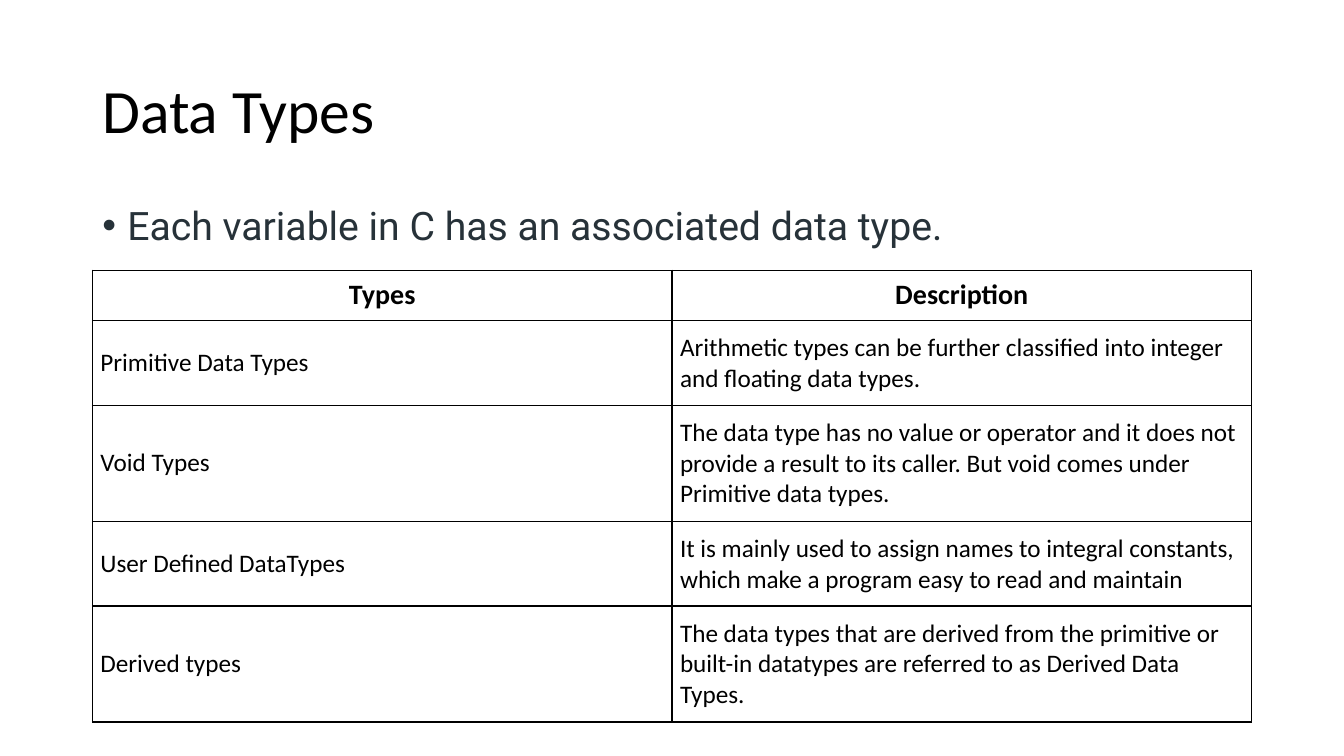
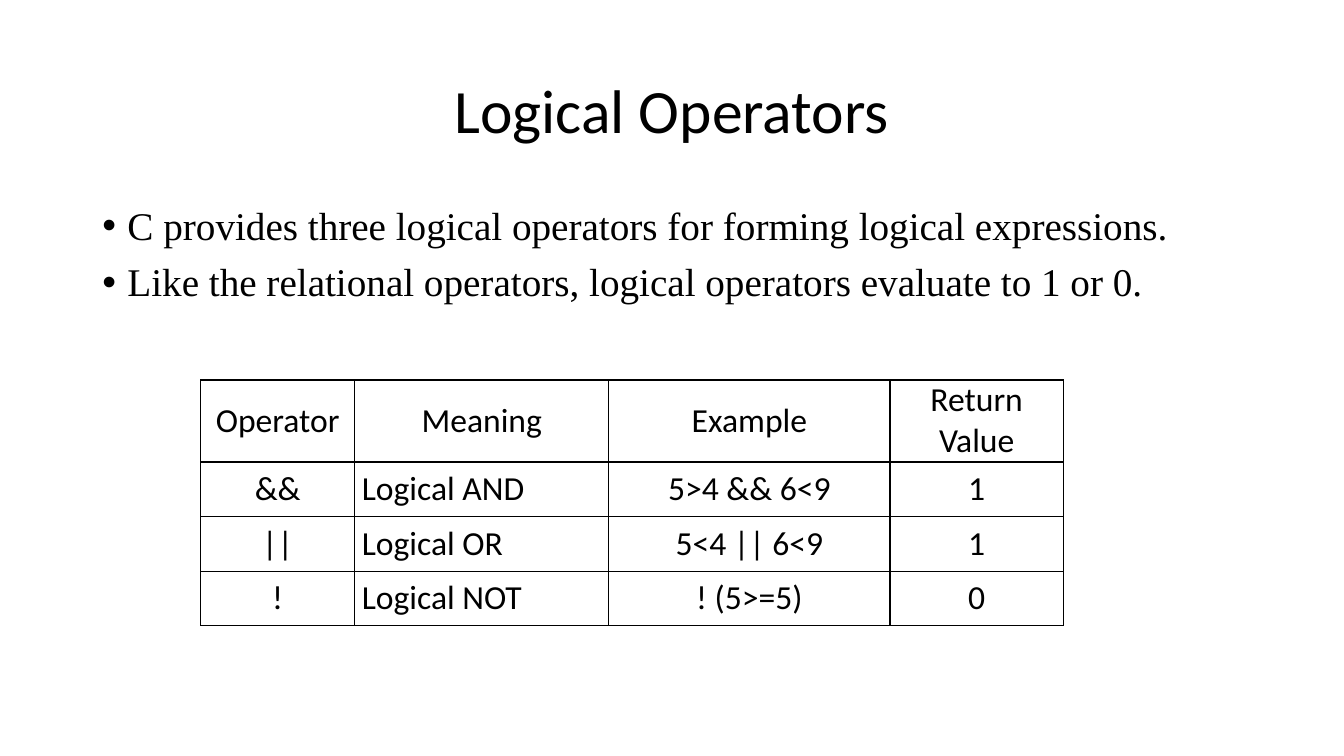
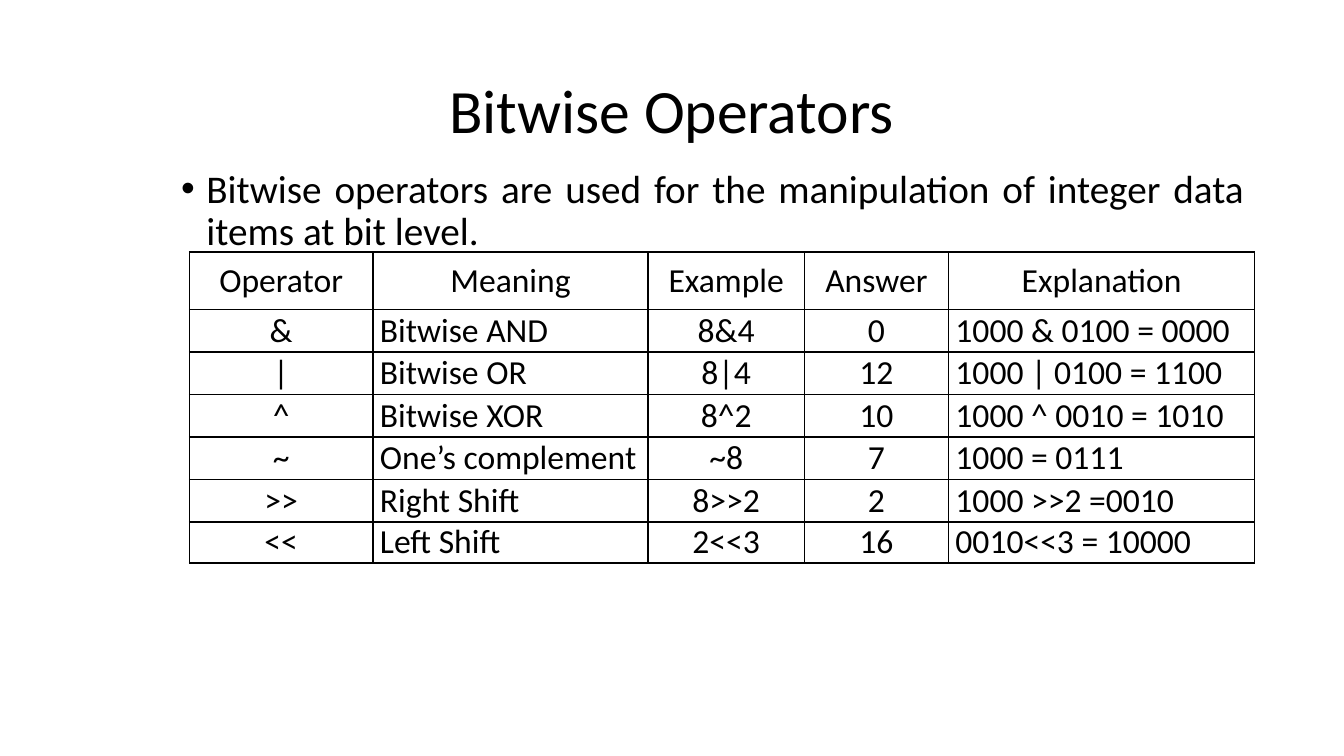
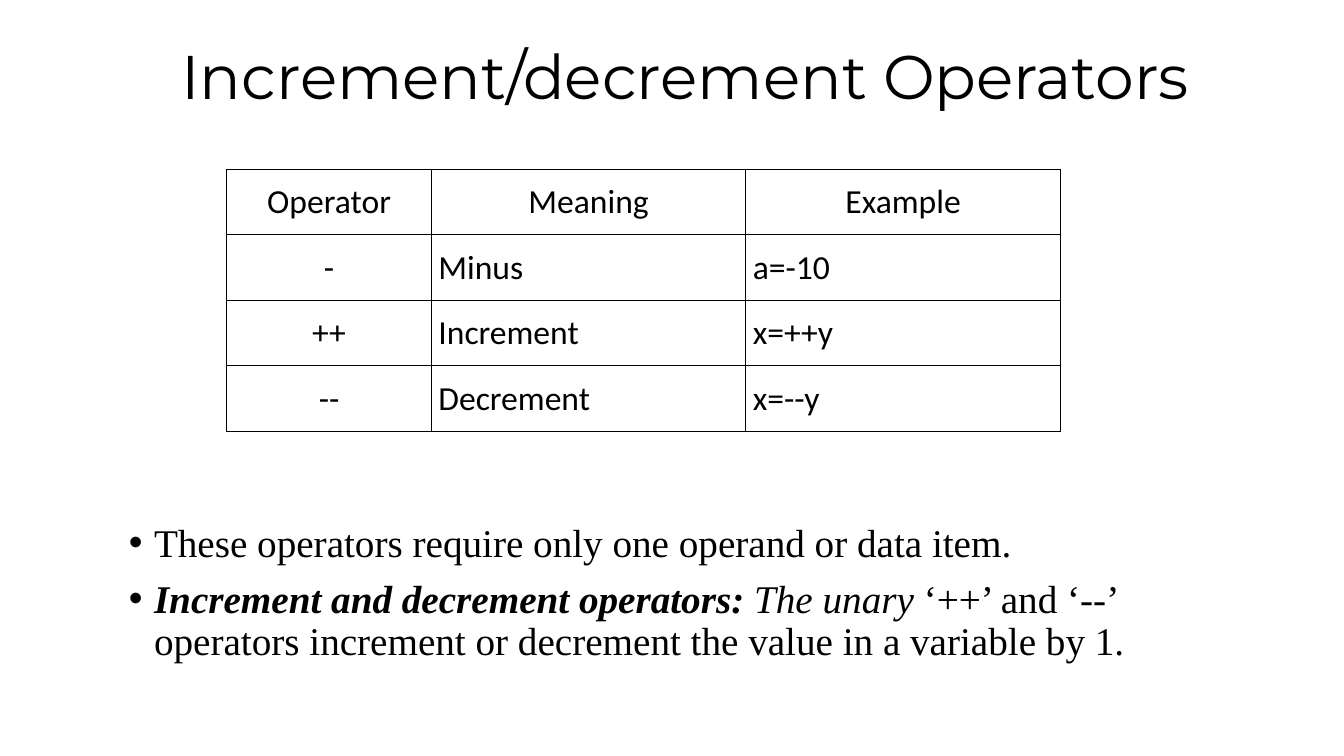
from lxml import etree
from pptx import Presentation
from pptx.dml.color import RGBColor
from pptx.enum.text import MSO_ANCHOR, PP_ALIGN
from pptx.oxml.ns import qn
from pptx.util import Inches, Pt

GRID_COLUMNS, GRID_ROWS = 160, 90
UNIT = Inches(1) / 12
MARGIN, CONTENT_WIDTH = 11, 138
COLORS = {"black": "000000", "white": "FFFFFF", "slate": "273239"}
SANS, SERIF, ROBOTO, DISPLAY = "Calibri", "Times New Roman", "Roboto", "Montserrat"
TITLE_SIZE, BODY_SIZE = 44, 28
LINE_SPACING = 0.9
BULLET_INDENT = Inches(0.25)
BORDER_WIDTH = Pt(1)
LEFT, CENTER, JUSTIFY = PP_ALIGN.LEFT, PP_ALIGN.CENTER, PP_ALIGN.JUSTIFY
ALIGNMENTS = {"l": LEFT, "c": CENTER}
MIDDLE, TOP = MSO_ANCHOR.MIDDLE, MSO_ANCHOR.TOP


def grid(units):
    """Turn grid units into a slide length."""
    return round(units * UNIT)


def add_span(para, text, size, font=SANS, color="black", bold=False, italic=False):
    """Add one styled run to a paragraph."""
    span = para.add_run()
    span.text = text
    span.font.size = Pt(size)
    span.font.name = font
    span.font.bold = bold
    span.font.italic = italic
    span.font.color.rgb = RGBColor.from_string(COLORS[color])


def add_box(page, area, anchor):
    """Add a wrapping text box and return its text frame."""
    frame = page.shapes.add_textbox(*map(grid, area)).text_frame
    frame.word_wrap = True
    frame.vertical_anchor = anchor
    return frame


def add_title(page, text, area=(MARGIN, 4.8, CONTENT_WIDTH, 17.4), align=CENTER, font=SANS):
    """Add the slide title."""
    para = add_box(page, area, MIDDLE).paragraphs[0]
    para.alignment = align
    para.line_spacing = LINE_SPACING
    add_span(para, text, TITLE_SIZE, font)


def set_bullet(para):
    """Give a paragraph a hanging round bullet."""
    properties = para._p.get_or_add_pPr()
    properties.set("marL", str(BULLET_INDENT))
    properties.set("indent", str(-BULLET_INDENT))
    etree.SubElement(properties, qn("a:buFont")).set("typeface", "Arial")
    etree.SubElement(properties, qn("a:buChar")).set("char", "•")


def add_bullets(page, area, items, align=LEFT, font=SANS, color="black"):
    """Add bullets, each a list of (text, bold, italic) parts."""
    frame = add_box(page, area, TOP)
    for index, parts in enumerate(items):
        para = frame.add_paragraph() if index else frame.paragraphs[0]
        para.alignment = align
        para.line_spacing = LINE_SPACING
        para.space_before = Pt(10)
        set_bullet(para)
        for text, bold, italic in parts:
            add_span(para, text, BODY_SIZE, font, color, bold, italic)


def set_borders(cell):
    """Draw a thin black line on every side of a cell."""
    properties = cell._tc.get_or_add_tcPr()
    for index, side in enumerate(("a:lnL", "a:lnR", "a:lnT", "a:lnB")):
        line = etree.Element(qn(side), w=str(BORDER_WIDTH))
        fill = etree.SubElement(line, qn("a:solidFill"))
        etree.SubElement(fill, qn("a:srgbClr")).set("val", COLORS["black"])
        properties.insert(index, line)


def style_cell(cell, inset, fill):
    """Set the anchor, margins, fill and borders of a cell."""
    cell.vertical_anchor = MIDDLE
    cell.margin_left = cell.margin_right = Inches(inset[0])
    cell.margin_top = cell.margin_bottom = Inches(inset[1])
    if fill:
        cell.fill.solid()
        cell.fill.fore_color.rgb = RGBColor.from_string(COLORS[fill])
    else:
        cell.fill.background()
    set_borders(cell)


def add_grid_table(page, corner, widths, heights, aligns, rows, size=24,
                   header_size=24, header_bold=False, inset=(0.07, 0),
                   header_inset=(0.07, 0), fill=None):
    """Add a bordered table with a centred header row."""
    area = (*corner, sum(widths), sum(heights))
    table = page.shapes.add_table(len(rows), len(widths), *map(grid, area)).table
    table.first_row = table.horz_banding = False
    for column, width in zip(table.columns, widths):
        column.width = grid(width)
    for row, height in zip(table.rows, heights):
        row.height = grid(height)
    for row_index, texts in enumerate(rows):
        header = row_index == 0
        for column_index, text in enumerate(texts):
            cell = table.cell(row_index, column_index)
            style_cell(cell, header_inset if header else inset, fill)
            para = cell.text_frame.paragraphs[0]
            para.alignment = CENTER if header else ALIGNMENTS[aligns[column_index]]
            add_span(para, text, header_size if header else size,
                     bold=header and header_bold)


def build_data_types(page):
    """Build the data types slide."""
    add_title(page, "Data Types", align=LEFT)
    add_bullets(page, (MARGIN, 24, CONTENT_WIDTH, 57.12),
                [[("Each variable in C has an associated data type.", False, False)]],
                font=ROBOTO, color="slate")
    rows = [
        ("Types", "Description"),
        ("Primitive Data Types",
         "Arithmetic types can be further classified into integer and floating data types."),
        ("Void Types",
         "The data type has no value or operator and it does not provide a result to its "
         "caller. But void comes under Primitive data types."),
        ("User Defined DataTypes",
         "It is mainly used to assign names to integral constants, which make a program "
         "easy to read and maintain"),
        ("Derived types",
         "The data types that are derived from the primitive or built-in datatypes are "
         "referred to as Derived Data Types."),
    ]
    add_grid_table(page, (MARGIN, 32.16), [CONTENT_WIDTH / 2] * 2,
                   [6, 10.1, 13.8, 10.1, 13.8], "ll", rows, size=18, header_size=20,
                   header_bold=True, inset=(0.08, 0.12), header_inset=(0.08, 0.08),
                   fill="white")


def build_logical_operators(page):
    """Build the logical operators slide."""
    add_title(page, "Logical Operators")
    add_bullets(page, (MARGIN, 24, CONTENT_WIDTH, 57.12), [
        [("C provides three logical operators for forming logical expressions.", False, False)],
        [("Like the relational operators, logical operators evaluate to 1 or 0.", False, False)],
    ], JUSTIFY, SERIF)
    rows = [
        ("Operator", "Meaning", "Example", "Return Value"),
        ("&&", "Logical AND", "5>4 && 6<9", "1"),
        ("||", "Logical OR", "5<4 || 6<9", "1"),
        ("!", "Logical NOT", "! (5>=5)", "0"),
    ]
    add_grid_table(page, (23.88, 45.24), [18.36, 30.24, 33.48, 20.64],
                   [9.76] + [6.5] * 3, "clcc", rows)


def build_bitwise_operators(page):
    """Build the bitwise operators slide."""
    add_title(page, "Bitwise Operators")
    add_bullets(page, (20.4, 19.56, 128.88, 61.44), [
        [("Bitwise operators are used for the manipulation of integer data items at bit level.",
          False, False)],
    ], JUSTIFY)
    rows = [
        ("Operator", "Meaning", "Example", "Answer", "Explanation"),
        ("&", "Bitwise AND", "8&4", "0", "1000 & 0100 = 0000"),
        ("|", "Bitwise OR", "8|4", "12", "1000 | 0100 = 1100"),
        ("^", "Bitwise XOR", "8^2", "10", "1000 ^ 0010 = 1010"),
        ("~", "One’s complement", "~8", "7", "1000 = 0111"),
        (">>", "Right Shift", "8>>2", "2", "1000 >>2 =0010"),
        ("<<", "Left Shift", "2<<3", "16", "0010<<3 = 10000"),
    ]
    add_grid_table(page, (22.56, 30), [21.84, 32.76, 18.6, 17.16, 36.48],
                   [6.84] + [5.06] * 5 + [4.9], "clccl", rows)


def build_increment_operators(page):
    """Build the increment and decrement operators slide."""
    add_title(page, "Increment/decrement Operators", (20.4, 4.8, 134.28, 9.36), LEFT, DISPLAY)
    add_bullets(page, (14.16, 61.7, 125.52, 23.5), [
        [("These operators require only one operand or data item.", False, False)],
        [("Increment and decrement operators: ", True, True),
         ("The unary ", False, True),
         ("‘++’ and ‘--’ operators increment or decrement the value in a variable by 1.",
          False, False)],
    ], font=SERIF)
    rows = [
        ("Operator", "Meaning", "Example"),
        ("-", "Minus", "a=-10"),
        ("++", "Increment", "x=++y"),
        ("--", "Decrement", "x=--y"),
    ]
    add_grid_table(page, (27, 20.16), [24.36, 37.44, 37.44], [7.8] * 4, "cll", rows)


def main():
    """Build and save the deck."""
    deck = Presentation()
    deck.slide_width, deck.slide_height = grid(GRID_COLUMNS), grid(GRID_ROWS)
    blank = deck.slide_layouts[6]
    for build in (build_data_types, build_logical_operators,
                  build_bitwise_operators, build_increment_operators):
        build(deck.slides.add_slide(blank))
    deck.save("out.pptx")


if __name__ == "__main__":
    main()
